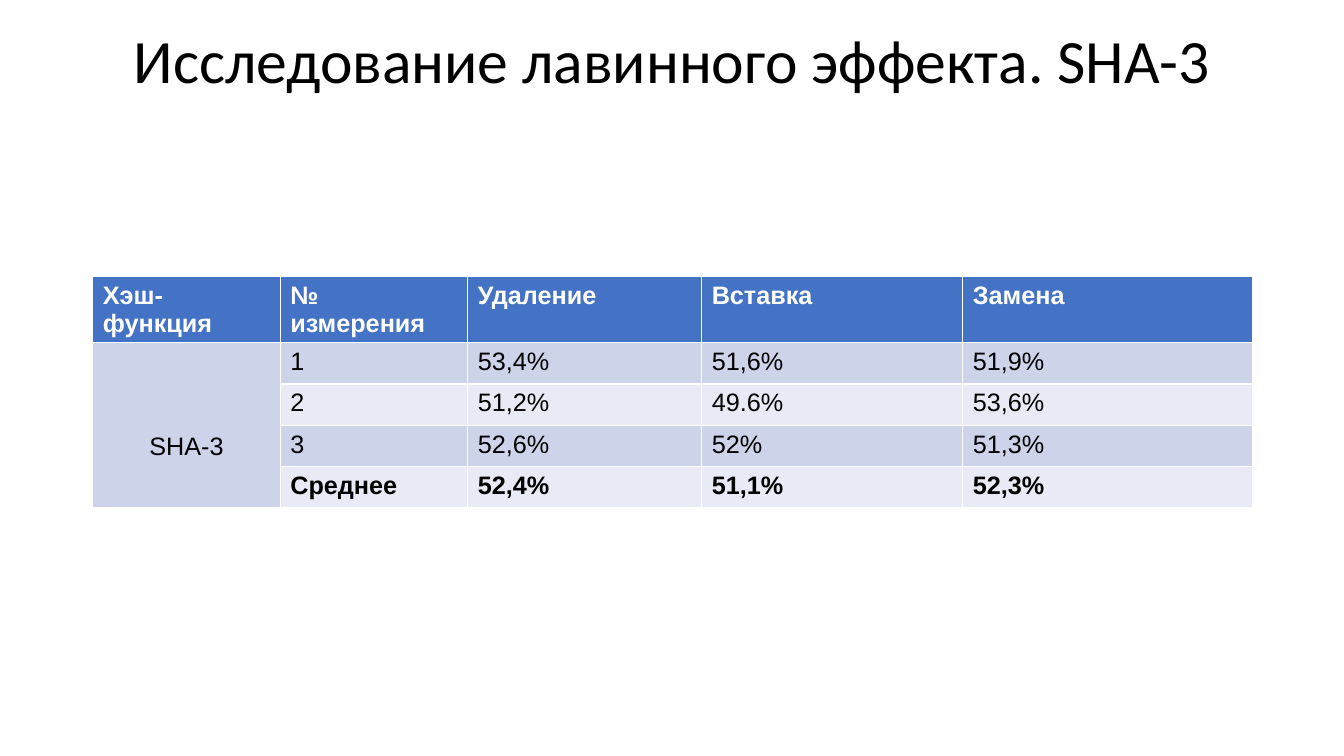
from pptx import Presentation
from pptx.dml.color import RGBColor
from pptx.enum.text import MSO_ANCHOR, MSO_AUTO_SIZE, PP_ALIGN
from pptx.util import Inches, Pt

# Content
TITLE = "Исследование лавинного эффекта. SHA-3"
HASH_NAME = "SHA-3"
HEADINGS = ["Хэш-функция", "№ измерения", "Удаление", "Вставка", "Замена"]
MEASUREMENTS = [
    ("1", "53,4%", "51,6%", "51,9%"),
    ("2", "51,2%", "49.6%", "53,6%"),
    ("3", "52,6%", "52%", "51,3%"),
    ("Среднее", "52,4%", "51,1%", "52,3%"),
]

# Format
COLORS = {"header": "4472C4", "odd": "CDD4EA", "even": "E8EBF5",
          "light": "FFFFFF", "dark": "000000"}
COLUMN_WIDTHS = [1.86, 1.86, 2.32, 2.59, 2.87]
ROW_HEIGHT = 0.41
LEFT, TABLE_TOP = 0.92, 2.74
WIDTH = sum(COLUMN_WIDTHS)


def format_text(paragraph, color, **font_values):
    for name, value in font_values.items():
        setattr(paragraph.font, name, value)
    paragraph.font.color.rgb = RGBColor.from_string(COLORS[color])


def main():
    presentation = Presentation()
    presentation.slide_width = Inches(13.33)
    presentation.slide_height = Inches(7.5)
    slide = presentation.slides.add_slide(presentation.slide_layouts[5])

    # Title
    title = slide.shapes.title
    place = {"left": LEFT, "top": 0.19, "width": WIDTH, "height": 0.89}
    for name, value in place.items():
        setattr(title, name, Inches(value))
    heading = title.text_frame
    heading.text = TITLE
    frame_format = {"word_wrap": True, "auto_size": MSO_AUTO_SIZE.NONE,
                    "vertical_anchor": MSO_ANCHOR.MIDDLE}
    for name, value in frame_format.items():
        setattr(heading, name, value)
    heading_line = heading.paragraphs[0]
    heading_line.alignment = PP_ALIGN.CENTER
    heading_line.line_spacing = 0.9
    format_text(heading_line, "dark", name="Calibri", size=Pt(44))

    # Table grid
    rows = [HEADINGS] + [("", *values) for values in MEASUREMENTS]
    results = slide.shapes.add_table(
        len(rows), len(HEADINGS), Inches(LEFT), Inches(TABLE_TOP),
        Inches(WIDTH), Inches(ROW_HEIGHT * len(rows))).table
    for column, width in zip(results.columns, COLUMN_WIDTHS):
        column.width = Inches(width)

    # Cells: banded rows, bold header and averages
    last = len(rows) - 1
    for r, values in enumerate(rows):
        results.rows[r].height = Inches(ROW_HEIGHT)
        band = "header" if r == 0 else "odd" if r % 2 else "even"
        for c, value in enumerate(values):
            cell = results.cell(r, c)
            cell.text = HASH_NAME if (r, c) == (1, 0) else value
            cell.fill.solid()
            cell.fill.fore_color.rgb = RGBColor.from_string(COLORS[band])
            format_text(cell.text_frame.paragraphs[0],
                        "dark" if r else "light",
                        name="Arial", size=Pt(18), bold=r in (0, last))

    # Hash name spans all measurements
    hash_cell = results.cell(1, 0)
    hash_cell.merge(results.cell(last, 0))
    hash_line = hash_cell.text_frame.paragraphs[0]
    hash_line.alignment = PP_ALIGN.CENTER
    hash_line.line_spacing = 4.0

    presentation.save("out.pptx")


if __name__ == "__main__":
    main()
